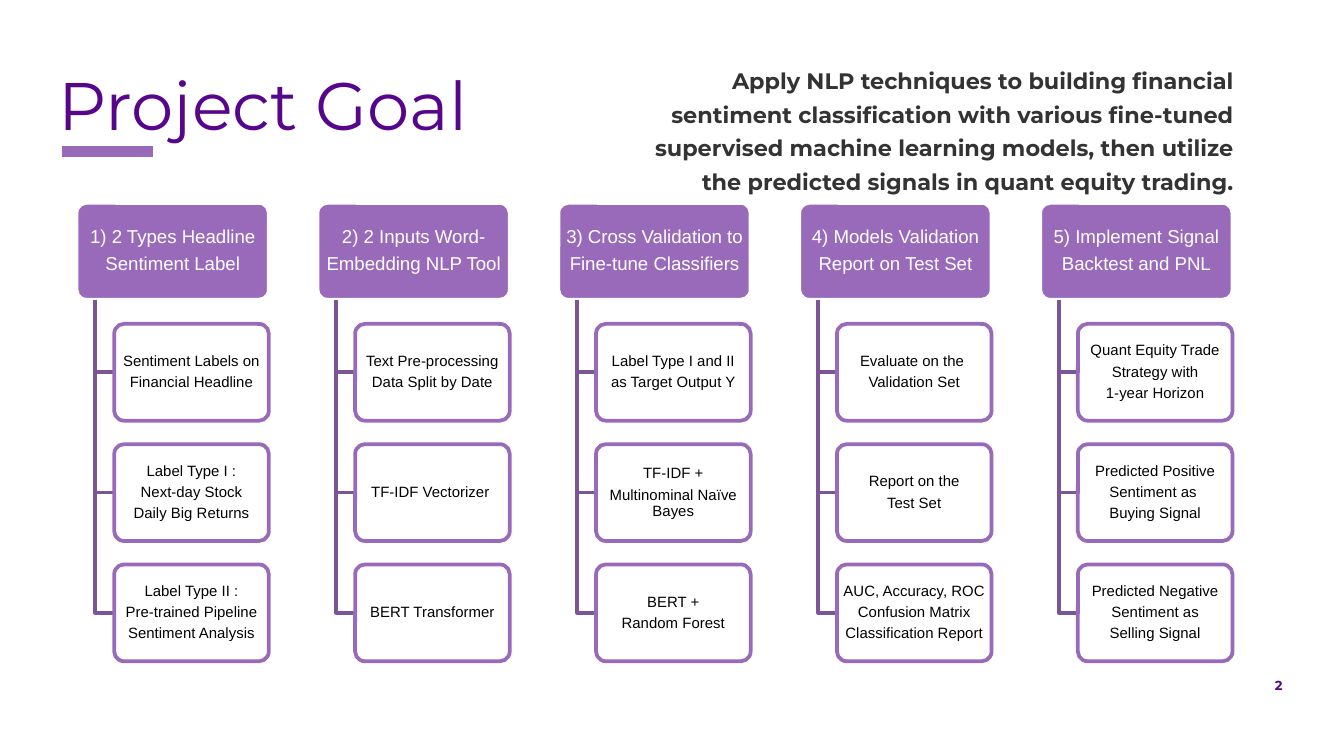
from pptx import Presentation
from pptx.dml.color import RGBColor
from pptx.enum import shapes, text
from pptx.oxml import parse_xml
from pptx.oxml.ns import nsdecls
from pptx.util import Inches, Pt

TITLE = "Project Goal"
SUMMARY = (
    "Apply NLP techniques to building financial sentiment classification with "
    "various fine-tuned supervised machine learning models, then utilize the "
    "predicted signals in quant equity trading."
)
PAGE_NUMBER = "2"

# Each step: heading lines, then the lines of its three cards
STEPS = [
    (["1) 2 Types Headline", "Sentiment Label"],
     [["Sentiment Labels on", "Financial Headline"],
      ["Label Type I :", "Next-day Stock", "Daily Big Returns"],
      ["Label Type II :", "Pre-trained Pipeline", "Sentiment Analysis"]]),
    (["2) 2 Inputs Word-", "Embedding NLP Tool"],
     [["Text Pre-processing", "Data Split by Date"],
      ["TF-IDF Vectorizer "],
      ["BERT Transformer"]]),
    (["3) Cross Validation to", "Fine-tune Classifiers"],
     [["Label Type I and II", "as Target Output Y"],
      ["TF-IDF +", "Multinominal Naïve Bayes"],
      ["BERT +", "Random Forest"]]),
    (["4) Models Validation", "Report on Test Set"],
     [["Evaluate on the ", "Validation Set"],
      ["Report on the", "Test Set"],
      ["AUC, Accuracy, ROC", "Confusion Matrix", "Classification Report"]]),
    (["5) Implement Signal", "Backtest and PNL"],
     [["Quant Equity Trade", "Strategy with", "1-year Horizon"],
      ["Predicted Positive", "Sentiment as ", "Buying Signal"],
      ["Predicted Negative", "Sentiment as", "Selling Signal"]]),
]

THEME = {
    "display_font": "Montserrat", "diagram_font": "Arial",
    "title": "57068C", "body": "333333", "accent": "9A6ABA",
    "branch": "7B5595", "white": "FFFFFF", "black": "000000",
    "title_size": 36, "body_size": 12, "heading_size": 10,
    "card_size": 8, "page_size": 7,
}

FIRST_LEFT, LAST_LEFT = 0.57, 7.74
HEADING_TOP, HEADING_WIDTH, BOX_HEIGHT = 1.51, 1.43, 0.72
FIRST_CARD_TOP, LAST_CARD_TOP, CARD_WIDTH = 2.41, 4.2, 1.15
BRANCH_INDENT, CARD_INDENT = 0.14, 0.28
COLUMN_PITCH = (LAST_LEFT - FIRST_LEFT) / (len(STEPS) - 1)
ROW_PITCH = (LAST_CARD_TOP - FIRST_CARD_TOP) / 2


def color(name):
    return RGBColor.from_string(THEME[name])


def style(paragraph, font, size, color_name, bold=False):
    paragraph.font.name = THEME[font]
    paragraph.font.size = Pt(THEME[size])
    paragraph.font.bold = bold
    paragraph.font.color.rgb = color(color_name)


def set_line(shape, color_name, width=2):
    shape.line.color.rgb = color(color_name)
    shape.line.width = Pt(width)


def add_label(slide, box, words, size, color_name, bold=False,
              align=text.PP_ALIGN.LEFT, spacing=1.0):
    frame = slide.shapes.add_textbox(*map(Inches, box)).text_frame
    frame.word_wrap = True
    frame.margin_left = frame.margin_right = Inches(0.1)
    frame.margin_top = frame.margin_bottom = Inches(0.1)
    paragraph = frame.paragraphs[0]
    paragraph.text = words
    paragraph.alignment = align
    paragraph.line_spacing = spacing
    style(paragraph, "display_font", size, color_name, bold)


def add_box(slide, left, top, width, lines, size, fill, outline, ink):
    shape = slide.shapes.add_shape(
        shapes.MSO_SHAPE.ROUNDED_RECTANGLE,
        *map(Inches, (left, top, width, BOX_HEIGHT)))
    shape.adjustments[0] = 0.1
    shape.shadow.inherit = False
    shape.fill.solid()
    shape.fill.fore_color.rgb = color(fill)
    set_line(shape, outline)
    frame = shape.text_frame
    frame.word_wrap = True
    frame.vertical_anchor = text.MSO_ANCHOR.MIDDLE
    frame.margin_left = frame.margin_right = Inches(0.02)
    frame.margin_top = frame.margin_bottom = Inches(0.01)
    frame.text = "\n".join(lines)
    for paragraph in frame.paragraphs:
        paragraph.alignment = text.PP_ALIGN.CENTER
        paragraph.line_spacing = 0.9
        paragraph.space_after = Pt(0.35 * THEME[size])
        style(paragraph, "diagram_font", size, ink)


def add_branch(slide, left, top, right, bottom):
    """Draw an elbow going down from a heading, then right to a card."""
    builder = slide.shapes.build_freeform(Inches(left), Inches(top))
    builder.add_line_segments(
        [(Inches(left), Inches(bottom)), (Inches(right), Inches(bottom))],
        close=False)
    branch = builder.convert_to_shape()
    branch.shadow.inherit = False
    branch.fill.background()
    set_line(branch, "branch")


def add_step(slide, left, heading, cards):
    add_box(slide, left, HEADING_TOP, HEADING_WIDTH, heading,
            "heading_size", "accent", "white", "white")
    card_left = left + CARD_INDENT
    for row, lines in enumerate(cards):
        top = FIRST_CARD_TOP + row * ROW_PITCH
        add_branch(slide, left + BRANCH_INDENT, HEADING_TOP + BOX_HEIGHT,
                   card_left, top + BOX_HEIGHT / 2)
        add_box(slide, card_left, top, CARD_WIDTH, lines,
                "card_size", "white", "accent", "black")


def add_title_rule(slide):
    rule = slide.shapes.add_connector(
        shapes.MSO_CONNECTOR.STRAIGHT,
        *map(Inches, (0.46, 1.13, 1.14, 1.13)))
    set_line(rule, "accent", 6)
    rule._element.spPr.append(parse_xml(f"<a:effectLst {nsdecls('a')}/>"))


def main():
    presentation = Presentation()
    presentation.slide_width = Inches(10)
    presentation.slide_height = Inches(10) * 9 // 16
    slide = presentation.slides.add_slide(presentation.slide_layouts[6])
    right = text.PP_ALIGN.RIGHT
    add_label(slide, (5.05, 4.98, 4.59, 0.34), PAGE_NUMBER,
              "page_size", "title", bold=True, align=right)
    add_label(slide, (0.34, 0.46, 6.37, 1.16), TITLE,
              "title_size", "title", spacing=0.85)
    add_label(slide, (4.65, 0.35, 4.63, 1.16), SUMMARY,
              "body_size", "body", bold=True, align=right, spacing=1.25)
    add_title_rule(slide)
    for column, (heading, cards) in enumerate(STEPS):
        add_step(slide, FIRST_LEFT + column * COLUMN_PITCH, heading, cards)
    presentation.save("out.pptx")


if __name__ == "__main__":
    main()
